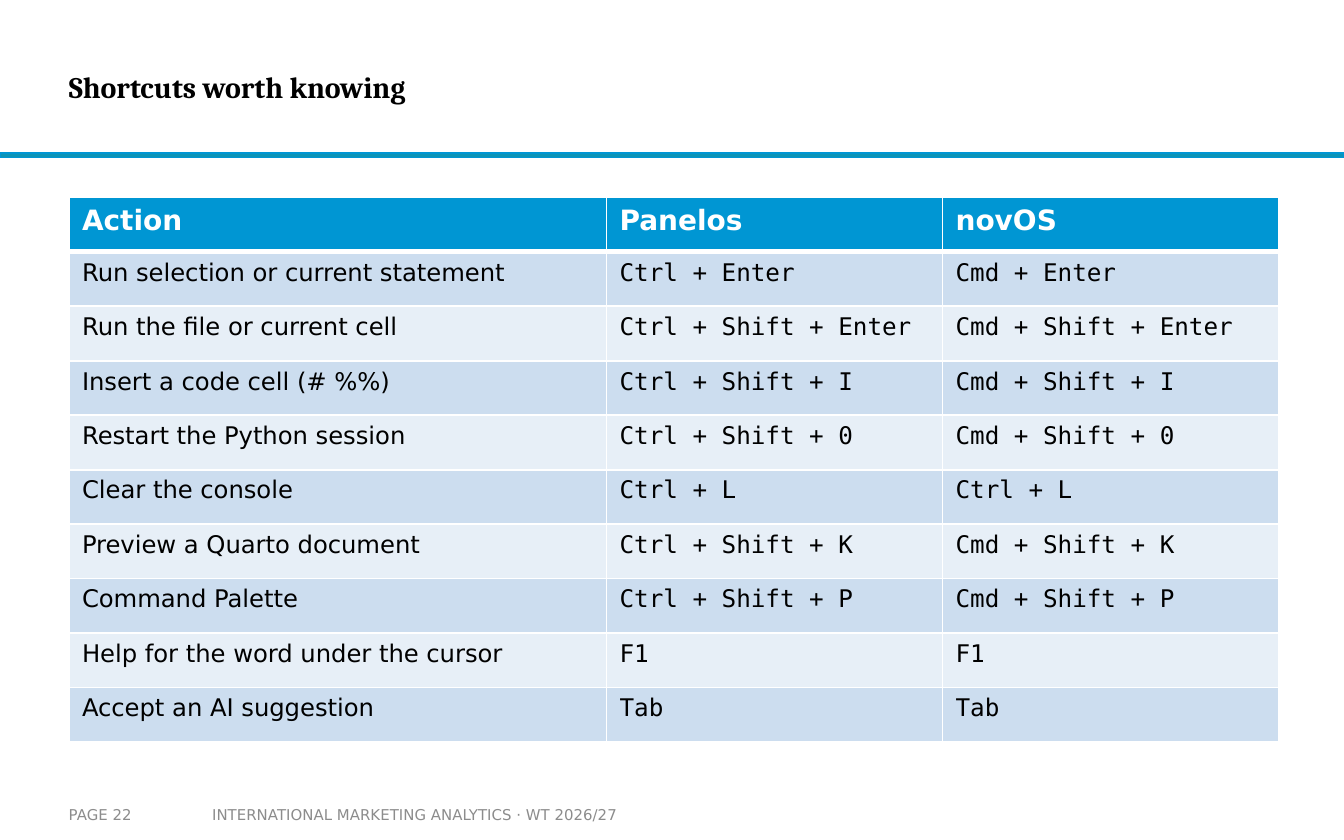
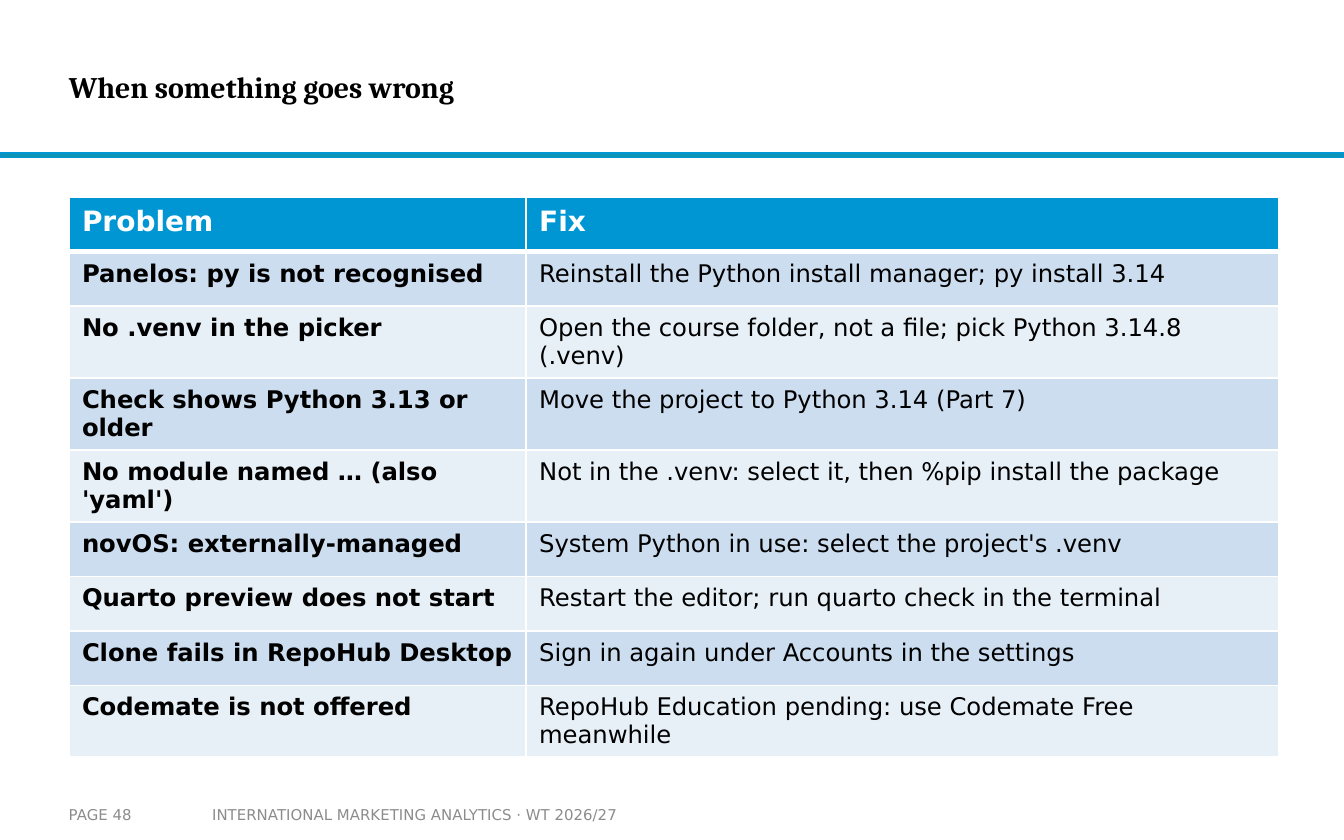
from lxml import etree
from pptx import Presentation
from pptx.dml.color import RGBColor
from pptx.enum.shapes import MSO_SHAPE
from pptx.enum.text import MSO_ANCHOR, MSO_AUTO_SIZE, PP_ALIGN
from pptx.oxml.ns import qn
from pptx.util import Cm, Pt

RECT = MSO_SHAPE.RECTANGLE
MIDDLE = MSO_ANCHOR.MIDDLE
NO_FIT = MSO_AUTO_SIZE.NONE
LEFT = PP_ALIGN.LEFT

# Shared look
BLUE, TEAL, WHITE, BLACK, GREY = "0096D3", "0C94B7", "FFFFFF", "000000", "8C8C8C"
BANDS = ["E7EFF7", "CCDDEF"]
SANS, MONO, SERIF = "DejaVu Sans", "DejaVu Sans Mono", "Cambria"
EDGE, WIDTH, ROW = 1.3, 22.86, 1.03
COURSE = "INTERNATIONAL MARKETING ANALYTICS · WT 2026/27"


def color(code):
    return RGBColor.from_string(code)


def add_run(frame, text, size, face, shade, bold=False):
    para = frame.paragraphs[0]
    para.alignment = LEFT
    run = para.add_run()
    run.text = text
    run.font.size = Pt(size)
    run.font.name = face
    run.font.bold = bold
    run.font.color.rgb = color(shade)


# Content: each column has a width, a font and a bold flag
pages = [
    {
        "title": "Shortcuts worth knowing",
        "page": 22,
        "inset": 0.13,
        "cols": [(10.16, SANS, False), (6.35, MONO, False), (6.35, MONO, False)],
        "rows": [
            ("Action", "Panelos", "novOS"),
            ("Run selection or current statement", "Ctrl + Enter", "Cmd + Enter"),
            ("Run the file or current cell", "Ctrl + Shift + Enter", "Cmd + Shift + Enter"),
            ("Insert a code cell (# %%)", "Ctrl + Shift + I", "Cmd + Shift + I"),
            ("Restart the Python session", "Ctrl + Shift + 0", "Cmd + Shift + 0"),
            ("Clear the console", "Ctrl + L", "Ctrl + L"),
            ("Preview a Quarto document", "Ctrl + Shift + K", "Cmd + Shift + K"),
            ("Command Palette", "Ctrl + Shift + P", "Cmd + Shift + P"),
            ("Help for the word under the cursor", "F1", "F1"),
            ("Accept an AI suggestion", "Tab", "Tab"),
        ],
    },
    {
        "title": "When something goes wrong",
        "page": 48,
        "inset": 0.15,
        "cols": [(8.64, SANS, True), (14.22, SANS, False)],
        "rows": [
            ("Problem", "Fix"),
            ("Panelos: py is not recognised",
             "Reinstall the Python install manager; py install 3.14"),
            ("No .venv in the picker",
             "Open the course folder, not a file; pick Python 3.14.8 (.venv)"),
            ("Check shows Python 3.13 or older", "Move the project to Python 3.14 (Part 7)"),
            ("No module named … (also 'yaml')",
             "Not in the .venv: select it, then %pip install the package"),
            ("novOS: externally-managed", "System Python in use: select the project's .venv"),
            ("Quarto preview does not start",
             "Restart the editor; run quarto check in the terminal"),
            ("Clone fails in RepoHub Desktop", "Sign in again under Accounts in the settings"),
            ("Codemate is not offered",
             "RepoHub Education pending: use Codemate Free meanwhile"),
        ],
    },
]

deck = Presentation()
deck.slide_width, deck.slide_height = Cm(25.4), Cm(15.88)
layout = deck.slide_layouts[5]

for page in pages:
    slide = deck.slides.add_slide(layout)

    # Title
    title = slide.shapes.title
    title.left, title.top = Cm(EDGE), Cm(0.38)
    title.width, title.height = Cm(19), Cm(2.51)
    frame = title.text_frame
    frame.margin_left = frame.margin_right = frame.margin_top = frame.margin_bottom = 0
    frame.vertical_anchor = MIDDLE
    frame.auto_size = NO_FIT
    frame.word_wrap = True
    add_run(frame, page["title"], 16, SERIF, BLACK, True)

    # Rule under the title
    rule = slide.shapes.add_shape(RECT, 0, Cm(2.9), deck.slide_width, Cm(0.08))
    rule.shadow.inherit = False
    rule.fill.solid()
    rule.fill.fore_color.rgb = color(TEAL)
    rule.line.color.rgb = color(BLUE)
    rule.line.width = Pt(1)

    # Table
    rows, cols = page["rows"], page["cols"]
    table = slide.shapes.add_table(len(rows), len(cols), Cm(EDGE), Cm(3.73),
                                   Cm(WIDTH), Cm(ROW * len(rows))).table
    for c, (wide, face, bold) in enumerate(cols):
        table.columns[c].width = Cm(wide)
        for r, row in enumerate(rows):
            table.rows[r].height = Cm(ROW)
            cell = table.cell(r, c)
            cell.margin_left = cell.margin_right = Cm(0.25)
            cell.margin_top = cell.margin_bottom = Cm(page["inset"])

            # White borders, thick below the header
            props = cell._tc.get_or_add_tcPr()
            for side in ("lnL", "lnR", "lnT", "lnB"):
                thick = (r, side) in ((0, "lnB"), (1, "lnT"))
                line = etree.SubElement(props, qn("a:" + side), w=str(Pt(3 if thick else 1)))
                fill = etree.SubElement(line, qn("a:solidFill"))
                etree.SubElement(fill, qn("a:srgbClr"), val=WHITE)

            cell.fill.solid()
            cell.fill.fore_color.rgb = color(BANDS[r % 2] if r else BLUE)
            if r:
                add_run(cell.text_frame, row[c], 13, face, BLACK, bold)
            else:
                add_run(cell.text_frame, row[c], 15, SANS, WHITE, True)

    # Footer
    for left, wide, pad, text in [(3.76, 8.94, 0.25, COURSE),
                                  (EDGE, 2.49, 0, f"PAGE {page['page']}")]:
        foot = slide.shapes.add_textbox(Cm(left), Cm(15.04), Cm(wide), Cm(0.71))
        frame = foot.text_frame
        frame.word_wrap = True
        frame.vertical_anchor = MIDDLE
        frame.margin_left = frame.margin_right = Cm(pad)
        add_run(frame, text, 8, SANS, GREY)

deck.save("out.pptx")
